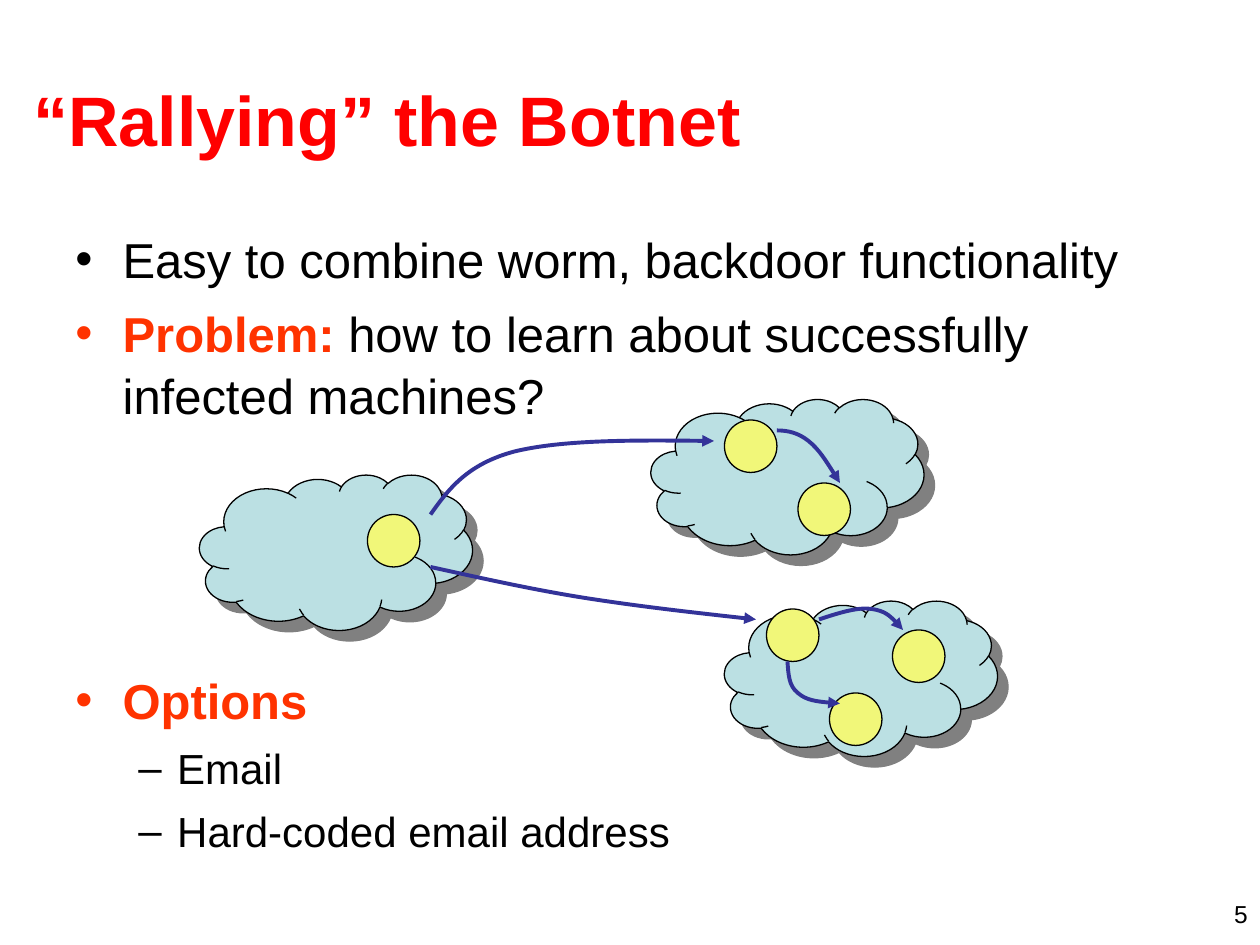
"""Build the slide about rallying a botnet."""
from lxml.etree import SubElement
from pptx import Presentation
from pptx.dml.color import RGBColor
from pptx.enum.shapes import MSO_SHAPE
from pptx.enum.text import MSO_ANCHOR, MSO_AUTO_SIZE, PP_ALIGN
from pptx.oxml.ns import qn
from pptx.util import Pt

PX = 7620
FONT = "Arial"
BLACK, RED, ORANGE = "000000", "FF0000", "FF3300"
CLOUD_FILL, BOT_FILL, ARROW_COLOR, SHADOW_COLOR = "BBE0E3", "F1F779", "333399", "808080"

TITLE = ("“Rallying” the Botnet", (20, 38, 1150, 150))
PAGE = ("5", (920, 850, 280, 30))
LEVELS = [
    {"bullet": "•", "margin": 45, "hang": 45, "size": 28, "before": 7},
    {"bullet": "–", "margin": 97, "hang": 37, "size": 24, "before": 6},
]
BULLETS = [
    ((60, 210, 1080, 200), [
        (0, [("Easy to combine worm, backdoor functionality", BLACK, False)]),
        (0, [("Problem:", ORANGE, True),
             (" how to learn about successfully infected machines?", BLACK, False)]),
    ]),
    ((60, 630, 1080, 200), [
        (0, [("Options", ORANGE, True)]),
        (1, [("Email", BLACK, False)]),
        (1, [("Hard-coded email address", BLACK, False)]),
    ]),
]
CLOUD_SIZE, BOT_SIZE = (260, 148), (50, 50)
CLOUDS = [(190, 452), (620, 380), (690, 572)]
BOTS = [(350, 490), (690, 400), (760, 460), (730, 580), (790, 660), (850, 600)]
ARROWS = [
    [(410, 490), (427, 466), (445, 442), (490, 430), (535, 419), (607, 419), (680, 420)],
    [(740, 410), (750, 410), (760, 412), (770, 420), (780, 428), (790, 444), (800, 460)],
    [(410, 540), (460, 551), (509, 562), (560, 570), (612, 578), (666, 584), (720, 590)],
    [(780, 590), (798, 584), (817, 578), (830, 580), (843, 582), (852, 590), (860, 600)],
    [(750, 630), (751, 642), (751, 653), (760, 660), (768, 667), (784, 669), (800, 670)],
]


def rgb(color):
    return RGBColor.from_string(color)


def emu(lengths):
    return [length * PX for length in lengths]


def add_run(paragraph, text, size, color, bold=False):
    run = paragraph.add_run()
    run.text = text
    run.font.name, run.font.size, run.font.bold = FONT, Pt(size), bold
    run.font.color.rgb = rgb(color)


def add_text_frame(slide, box):
    frame = slide.shapes.add_textbox(*emu(box)).text_frame
    frame.word_wrap = True
    return frame


def add_bullets(slide, box, items):
    frame = add_text_frame(slide, box)
    for index, (depth, runs) in enumerate(items):
        level = LEVELS[depth]
        paragraph = frame.add_paragraph() if index else frame.paragraphs[0]
        paragraph.level = depth
        paragraph.line_spacing = 1.05
        paragraph.space_before = Pt(level["before"] if index else 0)
        props = paragraph._p.get_or_add_pPr()
        props.set("marL", str(level["margin"] * PX))
        props.set("indent", str(-level["hang"] * PX))
        SubElement(SubElement(props, qn("a:buClr")), qn("a:srgbClr"), val=runs[0][1])
        SubElement(props, qn("a:buFont"), typeface=FONT)
        SubElement(props, qn("a:buChar"), char=level["bullet"])
        for text, color, bold in runs:
            add_run(paragraph, text, level["size"], color, bold)


def add_node(slide, preset, corner, size, fill):
    node = slide.shapes.add_shape(preset, *emu(corner + size))
    node.shadow.inherit = False
    node.fill.solid()
    node.fill.fore_color.rgb = rgb(fill)
    node.line.color.rgb = rgb(BLACK)
    node.line.width = Pt(0.75)
    return node


def add_cloud(slide, corner):
    cloud = add_node(slide, MSO_SHAPE.CLOUD, corner, CLOUD_SIZE, CLOUD_FILL)
    effects = cloud._element.spPr.find(qn("a:effectLst"))
    shadow = SubElement(effects, qn("a:outerShdw"), dist=str(Pt(8.5)), dir="2700000",
                        algn="ctr", rotWithShape="0")
    SubElement(shadow, qn("a:srgbClr"), val=SHADOW_COLOR)


def add_arrow(slide, points):
    start, *rest = points
    builder = slide.shapes.build_freeform(*start, scale=PX)
    builder.add_line_segments(rest, close=False)
    arrow = builder.convert_to_shape()
    segments = list(arrow._element.iter(qn("a:lnTo")))
    outline = segments[0].getparent()
    for first in range(0, len(segments), 3):
        curve = SubElement(outline, qn("a:cubicBezTo"))
        for segment in segments[first:first + 3]:
            curve.append(segment[0])
            outline.remove(segment)
    arrow.shadow.inherit = False
    arrow.fill.background()
    arrow.line.color.rgb = rgb(ARROW_COLOR)
    arrow.line.width = Pt(2.25)
    SubElement(arrow.line._get_or_add_ln(), qn("a:tailEnd"), type="triangle")


def add_title(slide):
    text, box = TITLE
    title = slide.shapes.title
    title.left, title.top, title.width, title.height = emu(box)
    frame = title.text_frame
    frame.auto_size = MSO_AUTO_SIZE.NONE
    frame.vertical_anchor = MSO_ANCHOR.MIDDLE
    frame.paragraphs[0].alignment = PP_ALIGN.LEFT
    add_run(frame.paragraphs[0], text, 40, RED, True)


def add_page_number(slide):
    text, box = PAGE
    paragraph = add_text_frame(slide, box).paragraphs[0]
    paragraph.alignment = PP_ALIGN.RIGHT
    add_run(paragraph, text, 14, BLACK)


def main():
    deck = Presentation()
    deck.slide_width, deck.slide_height = emu((1200, 900))
    slide = deck.slides.add_slide(deck.slide_layouts[5])
    add_title(slide)
    for box, items in BULLETS:
        add_bullets(slide, box, items)
    for corner in CLOUDS:
        add_cloud(slide, corner)
    for corner in BOTS:
        add_node(slide, MSO_SHAPE.OVAL, corner, BOT_SIZE, BOT_FILL)
    for points in ARROWS:
        add_arrow(slide, points)
    add_page_number(slide)
    deck.save("out.pptx")


if __name__ == "__main__":
    main()
